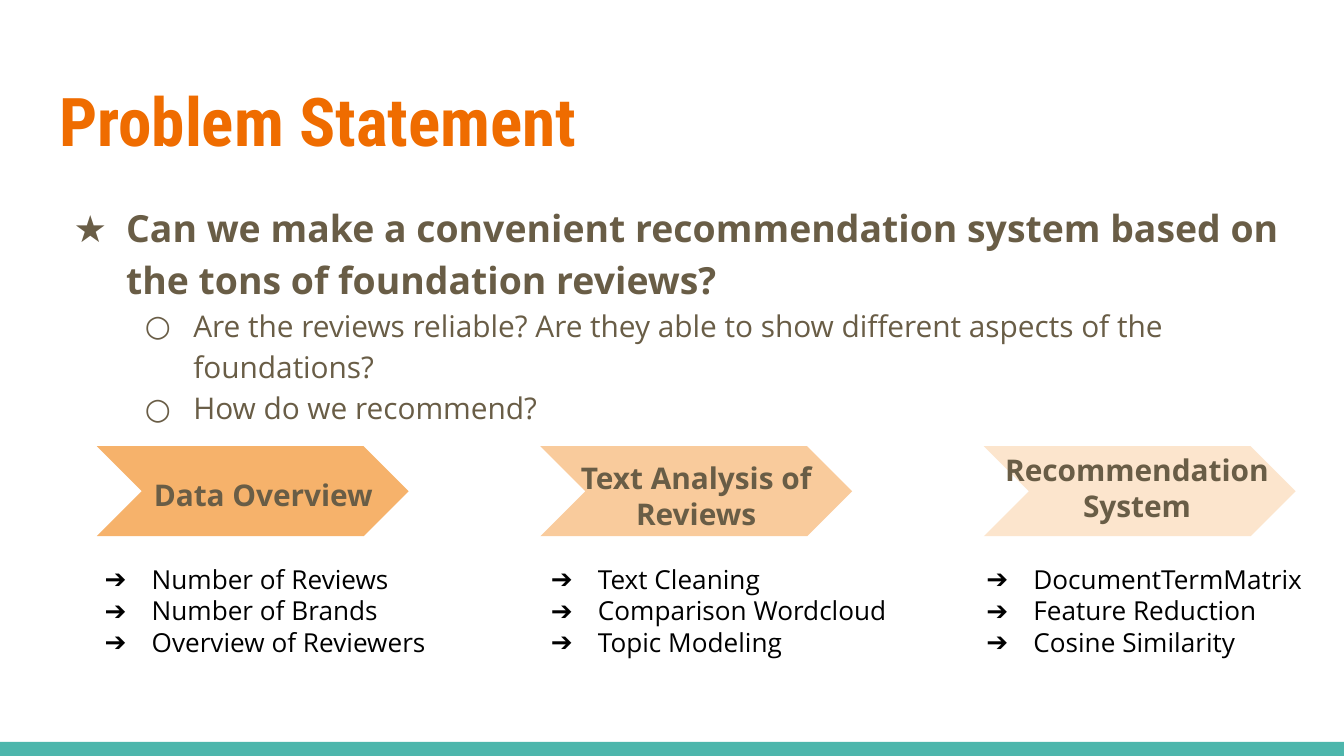
import dataclasses

import pptx
import pptx.dml.color
import pptx.enum.shapes
import pptx.enum.text
import pptx.oxml.xmlchemy
import pptx.util

Inches = pptx.util.Inches
Align = pptx.enum.text.PP_ALIGN
Shape = pptx.enum.shapes.MSO_SHAPE


@dataclasses.dataclass(frozen=True)
class Theme:
    head: str = "Roboto Condensed"
    body: str = "Open Sans"
    orange: str = "EF6C00"
    brown: str = "695D46"
    black: str = "000000"
    teal: str = "4DB6AC"
    steps: tuple = ("F6B26B", "F9CB9C", "FCE5CD")
    title: int = 36
    lead: int = 20
    text: int = 16
    small: int = 14


def tint(code):
    return pptx.dml.color.RGBColor.from_string(code)


def mark(para, sign, font, color, left, hang):
    props = para._p.get_or_add_pPr()
    props.set("marL", str(Inches(left)))
    props.set("indent", str(-Inches(hang)))
    make = pptx.oxml.xmlchemy.OxmlElement
    shade, tone = make("a:buClr"), make("a:srgbClr")
    face, char = make("a:buFont"), make("a:buChar")
    tone.set("val", color)
    shade.append(tone)
    face.set("typeface", font)
    char.set("char", sign)
    props.extend([shade, face, char])


def write(para, text, *, font, size, color, bold=False, align=Align.LEFT,
          sign=None, left=0, hang=0, level=0, space=None):
    run = para.add_run()
    run.text = text
    run.font.name = font
    run.font.size = pptx.util.Pt(size)
    run.font.bold = bold
    run.font.color.rgb = tint(color)
    para.alignment = align
    para.level = level
    if sign:
        mark(para, sign, font, color, left, hang)
    if space:
        para.line_spacing = space


class Deck:
    """Hold the theme and the current slide, and add elements to it."""

    def __init__(self, theme):
        self.theme = theme
        self.file = pptx.Presentation()
        self.file.slide_width = Inches(10)
        self.file.slide_height = Inches(10) * 9 // 16
        self.slide = self.file.slides.add_slide(self.file.slide_layouts[5])

    def frame(self, shape):
        frame = shape.text_frame
        frame.word_wrap = True
        frame.auto_size = pptx.enum.text.MSO_AUTO_SIZE.NONE
        frame.vertical_anchor = pptx.enum.text.MSO_ANCHOR.TOP
        frame.margin_left = frame.margin_right = Inches(0.1)
        frame.margin_top = frame.margin_bottom = Inches(0.1)
        return frame

    def title(self, text, box):
        shape = self.slide.shapes.title
        shape.left, shape.top, shape.width, shape.height = map(Inches, box)
        write(self.frame(shape).paragraphs[0], text, font=self.theme.head,
              size=self.theme.title, color=self.theme.orange, bold=True)

    def block(self, kind, box, fill):
        shape = self.slide.shapes.add_shape(kind, *map(Inches, box))
        shape.shadow.inherit = False
        shape.fill.solid()
        shape.fill.fore_color.rgb = tint(fill)
        shape.line.fill.background()

    def text(self, box, lines, **base):
        shape = self.slide.shapes.add_textbox(*map(Inches, box))
        frame = self.frame(shape)
        for i, (line, style) in enumerate(lines):
            para = frame.add_paragraph() if i else frame.paragraphs[0]
            write(para, line, **{"font": self.theme.body, **base, **style})


def main():
    theme = Theme()
    deck = Deck(theme)
    deck.block(Shape.RECTANGLE, (0, 5.52, 10, 0.11), theme.teal)
    deck.title("Problem Statement", (0.34, 0.49, 9.32, 0.77))

    lead = dict(size=theme.lead, bold=True, sign="★", left=0.5, hang=0.39)
    sub = dict(size=theme.text, sign="○", left=1, hang=0.36, level=1)
    deck.text((0.34, 1.38, 9.32, 3.61), [
        ("Can we make a convenient recommendation system based on "
         "the tons of foundation reviews?", lead),
        ("Are the reviews reliable? Are they able to show different "
         "aspects of the foundations?", sub),
        ("How do we recommend?", sub),
    ], color=theme.brown, space=1.15)

    steps = [
        ("Data Overview", (0.63, 3.45, 2.66, 0.77), 0.53,
         ["Number of Reviews", "Number of Brands", "Overview of Reviewers"]),
        ("Text Analysis of Reviews", (3.85, 3.32, 2.66, 0.77), 3.85,
         ["Text Cleaning", "Comparison Wordcloud", "Topic Modeling"]),
        ("Recommendation System", (7.3, 3.26, 2.32, 0.77), 7.09,
         ["DocumentTermMatrix", "Feature Reduction", "Cosine Similarity"]),
    ]
    for i, (name, box, left, items) in enumerate(steps):
        deck.block(Shape.CHEVRON, (0.72 + 3.3 * i, 3.32, 2.32, 0.67),
                   theme.steps[i])
        deck.text(box, [(name, {})], size=theme.text, color=theme.brown,
                  bold=True, align=Align.CENTER)
        deck.text((left, 4.09, 3.25, 1.09), [(item, {}) for item in items],
                  size=theme.small, color=theme.black,
                  sign="➔", left=0.5, hang=0.35)

    deck.file.save("out.pptx")


if __name__ == "__main__":
    main()
